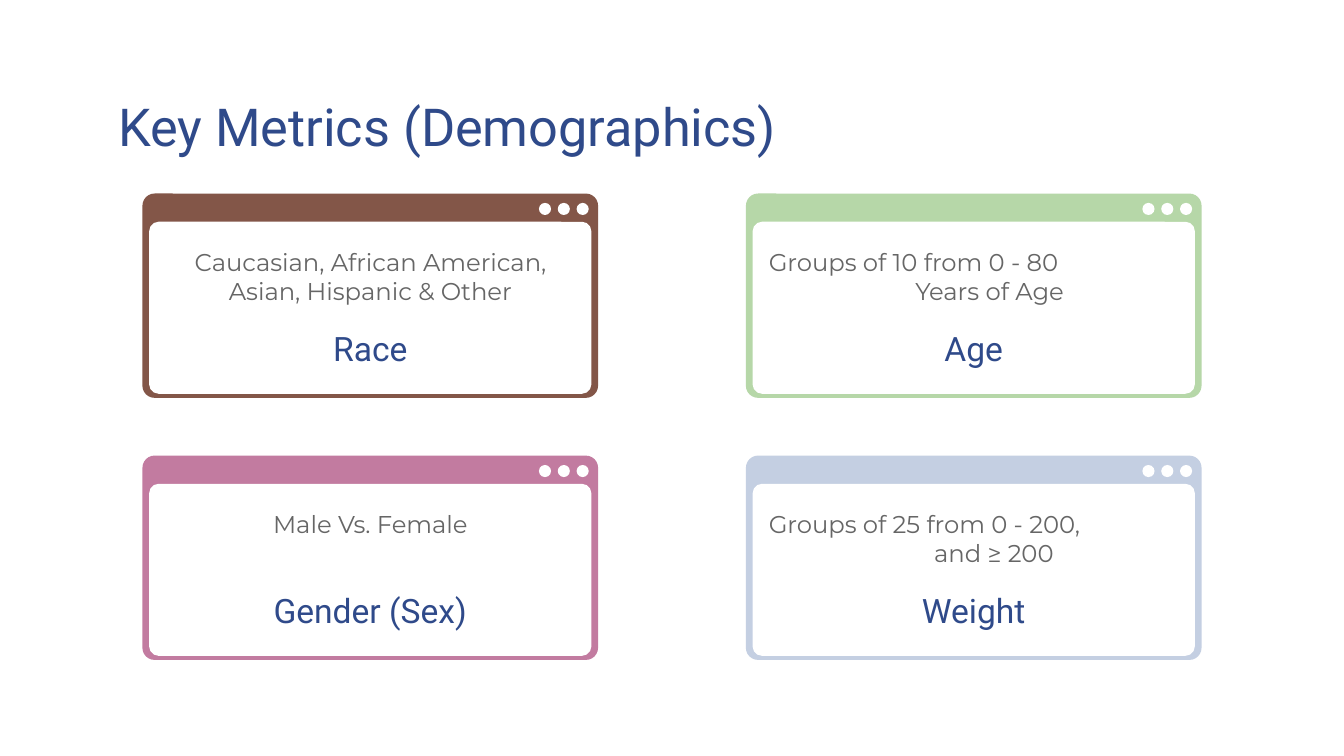
from pptx import Presentation, util as u
from pptx.dml import color
from pptx.enum import shapes, text

# Card grid, in inches
LEFT, TOP = 1.06, 1.44
COL_STEP, ROW_STEP = 4.49, 1.95
CARD_W, CARD_H = 3.39, 1.52
BORDER, BAR_H = 0.05, 0.21
DOT, DOT_STEP = 0.09, 0.14

NAVY, GREY, WHITE = "2F4A8A", "666666", "FFFFFF"

# Heading, colour, description lines, hanging indent (None centres the text)
CARDS = [
    ("Race", "835648",
     ["Caucasian, African American, Asian, Hispanic & Other"], None),
    ("Age", "B6D7A8", ["Groups of 10 from 0 - 80", "Years of Age"], 1.09),
    ("Gender (Sex)", "C27BA0", ["Male Vs. Female"], None),
    ("Weight", "C4CFE2", ["Groups of 25 from 0 - 200,", "and ≥ 200"], 1.23),
]


def rgb(value):
    return color.RGBColor.from_string(value)


def place(sp, x, y, w, h):
    sp.left, sp.top, sp.width, sp.height = map(u.Inches, (x, y, w, h))


def write(sp, lines, size, font, fill, hang=None, after=0, inset=0.1):
    """Write one paragraph; lines after the first hang by the indent."""
    tf = sp.text_frame
    tf.word_wrap = True
    tf.auto_size = text.MSO_AUTO_SIZE.NONE
    tf.vertical_anchor = text.MSO_ANCHOR.TOP
    tf.margin_left = u.Inches(inset)
    tf.margin_right = tf.margin_top = tf.margin_bottom = u.Inches(0.1)
    p = tf.paragraphs[0]
    pPr = p._p.get_or_add_pPr()
    pPr.set("marL", str(u.Inches(hang or 0)))
    pPr.set("indent", str(-u.Inches(hang or 0)))
    p.alignment = (text.PP_ALIGN.CENTER if hang is None
                   else text.PP_ALIGN.LEFT)
    p.line_spacing = 1.0
    p.space_before, p.space_after = u.Pt(0), u.Pt(after)
    # Bullets off, after the spacing elements
    pPr.append(pPr.makeelement(
        "{http://schemas.openxmlformats.org/drawingml/2006/main}buNone"))
    for i, line in enumerate(lines):
        if i:
            p.add_line_break()
        r = p.add_run()
        r.text = line
        r.font.size, r.font.name, r.font.bold = u.Pt(size), font, False
        r.font.color.rgb = rgb(fill)


def add_block(group, kind, x, y, w, h, fill, radius=None):
    sp = group.shapes.add_shape(kind, *map(u.Inches, (x, y, w, h)))
    sp.shadow.inherit = False
    sp.fill.solid()
    sp.fill.fore_color.rgb = rgb(fill)
    sp.line.fill.background()
    if radius:
        sp.adjustments[0] = radius / min(w, h)


def add_window(s, x, y, fill):
    """Draw a browser window: frame, panel and three dots."""
    group = s.shapes.add_group_shape()
    rounded = shapes.MSO_SHAPE.ROUNDED_RECTANGLE
    add_block(group, rounded, x, y, CARD_W, CARD_H, fill, 0.09)
    add_block(group, rounded, x + BORDER, y + BAR_H, CARD_W - 2 * BORDER,
              CARD_H - BAR_H - 0.03, WHITE, 0.07)
    for i in range(3):
        add_block(group, shapes.MSO_SHAPE.OVAL, x + 2.95 + i * DOT_STEP,
                  y + 0.07, DOT, DOT, WHITE)


def add_card(s, body, x, y, heading, fill, lines, hang):
    add_window(s, x, y, fill)
    # Bring the description in front of its window
    body.element.getparent().append(body.element)
    place(body, x + BORDER, y + 0.3, CARD_W - 2 * BORDER, 0.8)
    write(body, lines, 13, "Montserrat", GREY, hang, after=12,
          inset=0.1 if hang is None else 0.12)
    label = s.shapes.add_textbox(0, 0, 0, 0)
    place(label, x + 0.45, y + 0.9, CARD_W - 0.9, 0.51)
    write(label, [heading], 18, "Roboto", NAVY)


def main():
    prs = Presentation()
    # Widescreen, 16:9
    prs.slide_width = u.Inches(10)
    prs.slide_height = prs.slide_width * 9 // 16
    # The comparison layout has a title and four text areas
    s = prs.slides.add_slide(prs.slide_layouts[4])
    title, *bodies = list(s.placeholders)[:5]

    # Title
    place(title, 0.78, 0.6, 8.44, 0.51)
    write(title, ["Key Metrics (Demographics)"], 28, "Roboto", NAVY, hang=0)

    # Two by two cards
    for i, (body, card) in enumerate(zip(bodies, CARDS)):
        row, col = divmod(i, 2)
        add_card(s, body, LEFT + col * COL_STEP, TOP + row * ROW_STEP, *card)

    prs.save("out.pptx")


if __name__ == "__main__":
    main()
